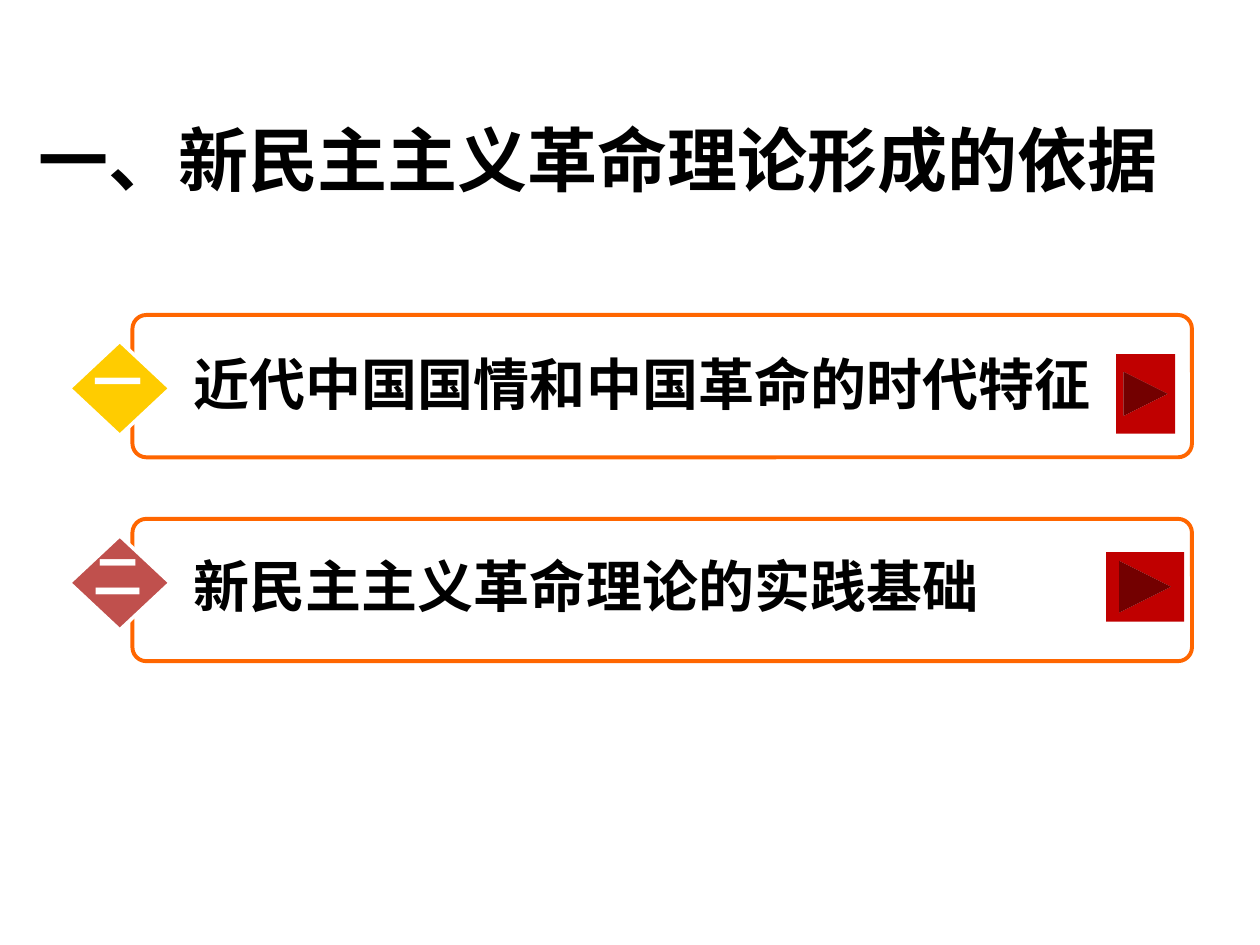
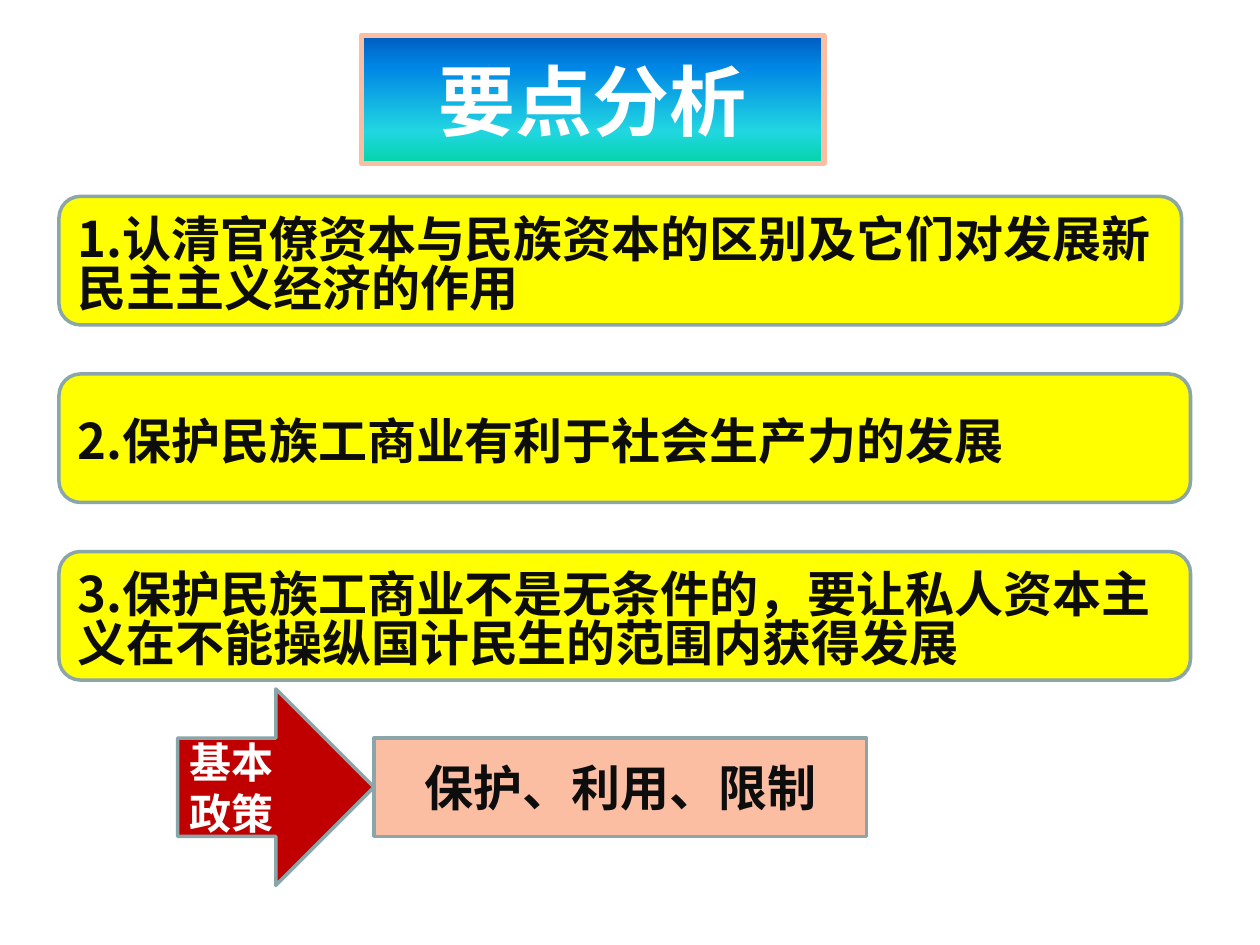
from lxml import etree
from pptx import Presentation
from pptx.dml.color import RGBColor
from pptx.enum.shapes import MSO_SHAPE
from pptx.enum.text import MSO_ANCHOR, MSO_AUTO_SIZE, PP_ALIGN
from pptx.oxml.ns import qn
from pptx.util import Cm, Pt

RECT, ROUNDED = MSO_SHAPE.RECTANGLE, MSO_SHAPE.ROUNDED_RECTANGLE
DIAMOND, ARROW = MSO_SHAPE.DIAMOND, MSO_SHAPE.RIGHT_ARROW
NEXT_BUTTON = MSO_SHAPE.ACTION_BUTTON_FORWARD_OR_NEXT
LEFT, CENTER = PP_ALIGN.LEFT, PP_ALIGN.CENTER
MIDDLE, TOP = MSO_ANCHOR.MIDDLE, MSO_ANCHOR.TOP

BLACK = RGBColor(0x00, 0x00, 0x00)
INK = RGBColor(0x0D, 0x0D, 0x0D)
WHITE = RGBColor(0xFF, 0xFF, 0xFF)
ORANGE = RGBColor(0xFF, 0x66, 0x00)
GOLD = RGBColor(0xFF, 0xCC, 0x00)
BRICK = RGBColor(0xC0, 0x50, 0x4D)
RED = RGBColor(0xC0, 0x00, 0x00)
YELLOW = RGBColor(0xFF, 0xFF, 0x00)
PEACH = RGBColor(0xFB, 0xBE, 0xA3)
GREY = RGBColor(0x8A, 0xA6, 0xA8)
BANNER_STOPS = [(0, RGBColor(0x03, 0xD4, 0xA8)), (25, RGBColor(0x21, 0xD6, 0xE0)),
                (75, RGBColor(0x00, 0x87, 0xE6)), (100, RGBColor(0x00, 0x5C, 0xBF))]

TITLE_FONT = "Noto Sans CJK JP"
BODY_FONT = "Noto Sans CJK SC"
LABEL_FONT = "Arial"


def write(sp, text, size=28, font=BODY_FONT, color=INK, align=LEFT,
          anchor=MIDDLE, spacing=None, wrap=True):
    """Fill a shape with bold text, one paragraph per line."""
    tf = sp.text_frame
    tf.auto_size = MSO_AUTO_SIZE.NONE
    tf.word_wrap = wrap
    tf.vertical_anchor = anchor
    for i, line in enumerate(text.split("\n")):
        p = tf.paragraphs[0] if i == 0 else tf.add_paragraph()
        p.alignment = align
        if spacing:
            p.line_spacing = spacing
        r = p.add_run()
        r.text = line
        r.font.size, r.font.bold, r.font.name = Pt(size), True, font
        r.font.color.rgb = color
        latin = r.font._element.find(qn("a:latin"))
        ea = etree.Element(qn("a:ea"), typeface=font)
        latin.addnext(ea)


def add_shape(s, kind, x, y, w, h, fill, line=None, line_width=2):
    sp = s.shapes.add_shape(kind, Cm(x), Cm(y), Cm(w), Cm(h))
    sp.shadow.inherit = False
    sp.fill.solid()
    sp.fill.fore_color.rgb = fill
    if line is None:
        sp.line.fill.background()
    else:
        sp.line.color.rgb = line
        sp.line.width = Pt(line_width)
    return sp


def add_label(s, text, x, y, w, h, **style):
    write(s.shapes.add_textbox(Cm(x), Cm(y), Cm(w), Cm(h)), text, **style)


def set_title(s, text, x, y, w, h, **style):
    sp = s.shapes.title
    sp.left, sp.top, sp.width, sp.height = Cm(x), Cm(y), Cm(w), Cm(h)
    write(sp, text, font=TITLE_FONT, align=CENTER, **style)
    return sp


def fill_gradient(sp, stops):
    """Fill a shape with a vertical gradient, first stop at the bottom."""
    sp.fill.gradient()
    sp.fill.gradient_angle = 90
    gs_list = sp._element.spPr.find(".//" + qn("a:gsLst"))
    for gs in list(gs_list):
        gs_list.remove(gs)
    for position, color in stops:
        gs = etree.SubElement(gs_list, qn("a:gs"), pos=str(position * 1000))
        etree.SubElement(gs, qn("a:srgbClr"), val=str(color))


def add_topic(s, y, numeral, text, diamond_y, diamond_color, text_y, numeral_y):
    frame = add_shape(s, ROUNDED, 2.67, y, 21.36, 2.87, WHITE, ORANGE, 2.25)
    frame.adjustments[0] = 0.098
    add_shape(s, DIAMOND, 1.4, diamond_y, 2.03, 1.9, diamond_color, WHITE)
    add_label(s, text, 3.66, text_y, 19.9, 1.6, size=32, color=BLACK)
    add_label(s, numeral, 1.57, numeral_y, 1.6, 1.45, font=LABEL_FONT,
              color=WHITE, align=CENTER, anchor=TOP, wrap=False)


def add_point(s, y, width, text):
    card = add_shape(s, ROUNDED, 1.19, y, width, 2.59, YELLOW, GREY)
    card.text_frame.margin_top = Cm(0.38)
    card.text_frame.margin_right = Cm(0.15)
    write(card, text, spacing=0.83)


def build_topics(s):
    set_title(s, "一、新民主主义革命理论形成的依据", 0, 1.98, 24.1, 2.44,
              size=40, color=BLACK)
    add_topic(s, 6.35, "一", "近代中国国情和中国革命的时代特征",
              6.88, GOLD, 6.93, 6.96)
    add_topic(s, 10.46, "二", "新民主主义革命理论的实践基础",
              10.8, BRICK, 11, 10.87)
    add_shape(s, NEXT_BUTTON, 22.3, 11.13, 1.57, 1.4, RED)
    add_shape(s, NEXT_BUTTON, 22.5, 7.14, 1.19, 1.6, RED)


def build_points(s):
    banner = set_title(s, "要点分析", 7.29, 0.71, 9.32, 2.59, size=44, color=WHITE)
    fill_gradient(banner, BANNER_STOPS)
    banner.line.color.rgb = PEACH
    banner.line.width = Pt(3)

    points = [(22.63, "1.认清官僚资本与民族资本的区别及它们对发展新民主主义经济的作用"),
              (22.81, "2.保护民族工商业有利于社会生产力的发展"),
              (22.81, "3.保护民族工商业不是无条件的，要让私人资本主义在不能操纵国计民生的范围内获得发展")]
    for i, (width, text) in enumerate(points):
        add_point(s, 3.96 + 3.58 * i, width, text)

    policy = add_shape(s, RECT, 7.54, 14.88, 9.93, 1.98, PEACH, GREY)
    write(policy, "保护、利用、限制", align=CENTER)
    arrow = add_shape(s, ARROW, 3.58, 13.89, 3.96, 3.96, RED, GREY)
    write(arrow, "基本\n政策", size=24, font=LABEL_FONT, color=WHITE)


def main():
    prs = Presentation()
    prs.slide_width, prs.slide_height = Cm(25.4), Cm(19.05)
    title_only = prs.slide_layouts[5]
    for build in (build_topics, build_points):
        build(prs.slides.add_slide(title_only))
    prs.save("out.pptx")


if __name__ == "__main__":
    main()
